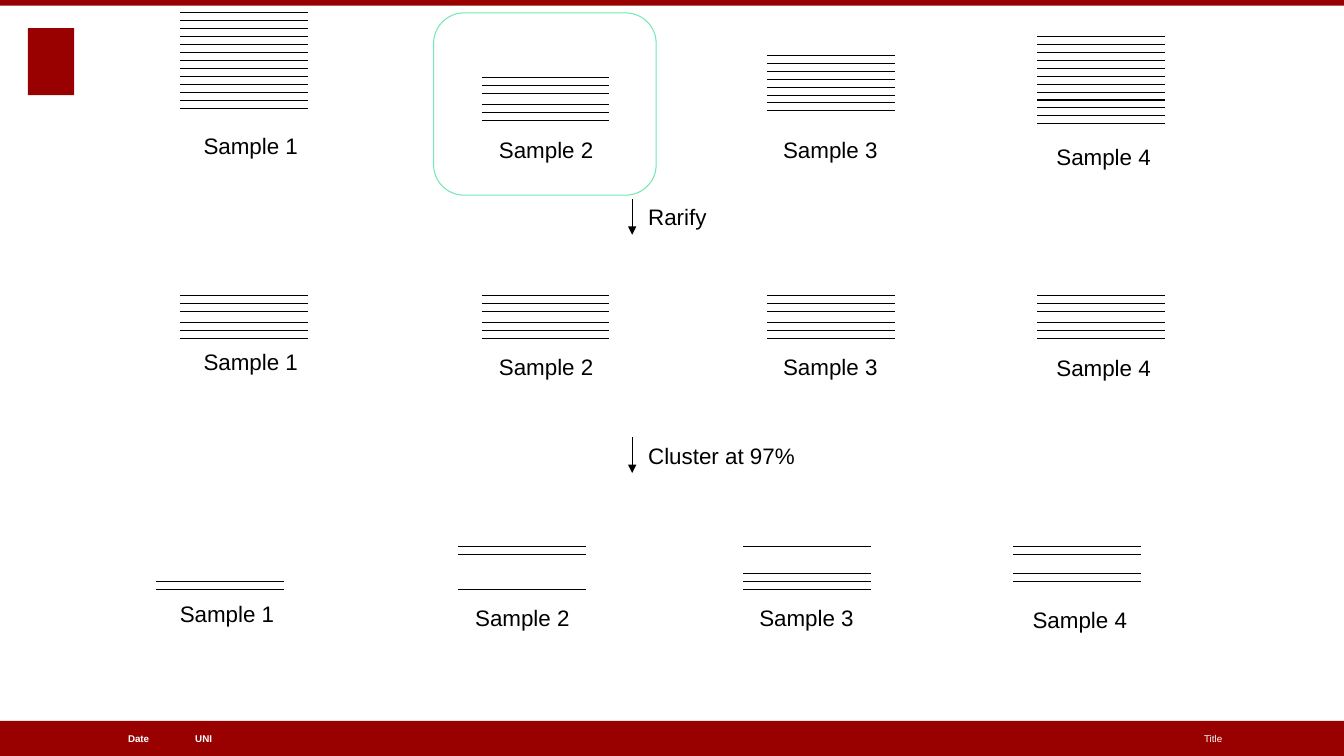
from lxml import etree
from pptx import Presentation
from pptx.dml.color import RGBColor
from pptx.enum import shapes, text
from pptx.oxml.ns import qn
from pptx.util import Pt

RED, BLACK, WHITE, GREEN = "990000", "000000", "FFFFFF", "71EAB5"
SHAPE, ALIGN = shapes.MSO_SHAPE, text.PP_ALIGN

deck = Presentation()
deck.slide_width, deck.slide_height = Pt(960), Pt(540)
slide = deck.slides.add_slide(deck.slide_layouts[6])


def draw(kind, x, y, w, h, fill=None, edge=None):
    """Add a preset shape with a plain fill, a thin edge, or both."""
    shape = slide.shapes.add_shape(kind, Pt(x), Pt(y), Pt(w), Pt(h))
    shape.shadow.inherit = False
    for part, color in ((shape.fill, fill), (shape.line.fill, edge)):
        if color:
            part.solid()
            part.fore_color.rgb = RGBColor.from_string(color)
        else:
            part.background()
    if edge:
        shape.line.width = Pt(0.75)


def write(words, x, y, w, h, size=16, color=BLACK, bold=False,
          align=ALIGN.LEFT, anchor=text.MSO_ANCHOR.TOP, wrap=False):
    frame = slide.shapes.add_textbox(Pt(x), Pt(y), Pt(w), Pt(h)).text_frame
    frame.margin_left = frame.margin_right = Pt(0)
    frame.margin_top = frame.margin_bottom = Pt(0)
    frame.word_wrap = wrap
    frame.vertical_anchor = anchor
    para = frame.paragraphs[0]
    para.alignment = align
    run = para.add_run()
    run.text = words
    run.font.name, run.font.size, run.font.bold = "Arial", Pt(size), bold
    run.font.color.rgb = RGBColor.from_string(color)


# Frame: plain block for the emblem, bars and footer
draw(SHAPE.RECTANGLE, 20, 20, 33, 48, RED)
draw(SHAPE.RECTANGLE, 0, 515, 960, 25, RED)
draw(SHAPE.RECTANGLE, 0, 0, 960, 4, RED)
for words, x, w, bold, align in (
        ("UNI", 139.5, 268, True, ALIGN.LEFT),
        ("Date", 19.5, 87, True, ALIGN.RIGHT),
        ("Title", 440, 433, False, ALIGN.RIGHT)):
    write(words, x, 515, w, 25, 7, WHITE, bold, align,
          text.MSO_ANCHOR.MIDDLE, True)

# Stacks of reads: columns are (read left, label left)
cols = ((128.4, 145.4), (344, 356.4), (548, 559.4), (740.8, 754.6))
pitch = 5.68
six = (0, 1, 2, 3.4, 4.4, 5.4)

# Each row: shift in x, then (top, slots, label top) per sample
rows = (
    (0, ((9.1, range(13), 94.3), (55.2, six, 97.2),
         (39.5, range(8), 97.2), (26, range(12), 102.2))),
    (0, ((211, six, 248.4), (211, six, 252),
         (211, six, 252), (211, six, 252.9))),
    (-17, ((390.6, (4.4, 5.4), 428.4), (390.6, (0, 1, 5.4), 431.5),
           (390.6, (0, 3.4, 4.4, 5.4), 431.5),
           (390.6, (0, 1, 3.4, 4.4), 432.9))),
)
lines = []
for shift, stacks in rows:
    for num, ((left, label), (top, slots, base)) in enumerate(zip(cols, stacks), 1):
        for slot in slots:
            y = top + slot * pitch
            lines.append((left + shift, y, left + shift + 91.3, y, False))
        write(f"Sample {num}", label + shift, base, 68, 19.4)

# Steps between the rows
for words, top, w in (("Rarify", 142, 42.5), ("Cluster at 97%", 312.2, 106)):
    lines.append((451.6, top, 451.6, top + 25.7, True))
    write(words, 463, top + 3.3, w, 19.4)

for x1, y1, x2, y2, arrow in lines:
    line = slide.shapes.add_connector(
        shapes.MSO_CONNECTOR.STRAIGHT, Pt(x1), Pt(y1), Pt(x2), Pt(y2))
    line.line.color.rgb = RGBColor.from_string(BLACK)
    line.line.width = Pt(0.75)
    if arrow:
        etree.SubElement(line.line._get_or_add_ln(), qn("a:tailEnd"), type="triangle")
    etree.SubElement(line._element.spPr, qn("a:effectLst"))

# Smallest sample sets the depth
draw(SHAPE.ROUNDED_RECTANGLE, 309.7, 9.2, 159, 130.2, edge=GREEN)

deck.save("out.pptx")
